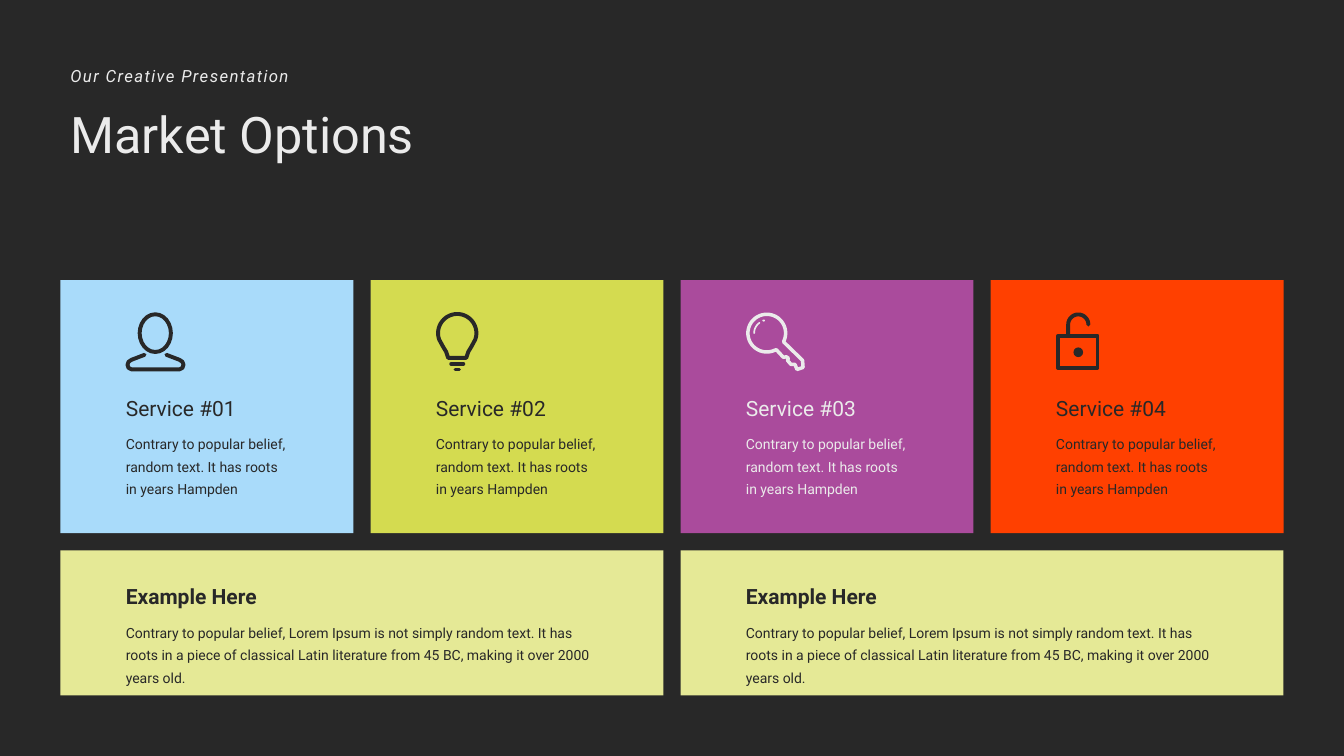
from math import cos, sin, radians

from pptx import Presentation
from pptx.dml.color import RGBColor
from pptx.enum.shapes import MSO_SHAPE
from pptx.enum.text import MSO_ANCHOR, MSO_AUTO_SIZE, PP_ALIGN
from pptx.oxml.ns import qn
from pptx.util import Inches, Pt

DARK = RGBColor(0x28, 0x28, 0x28)
LIGHT = RGBColor(0xEB, 0xEB, 0xEB)
SKY = RGBColor(0xA9, 0xDB, 0xFA)
LIME = RGBColor(0xD4, 0xDB, 0x50)
PURPLE = RGBColor(0xAA, 0x4B, 0x9C)
ORANGE = RGBColor(0xFF, 0x40, 0x00)
CREAM = RGBColor(0xE5, 0xE9, 0x96)

FONT = "Roboto"
SLIDE_W, SLIDE_H = 13.33, 7.5
MARGIN, GAP, COLUMNS = 0.6, 0.17, 4
COLUMN_W = (SLIDE_W - 2 * MARGIN - (COLUMNS - 1) * GAP) / COLUMNS
CARD_TOP, CARD_H = 2.78, 2.51
PANEL_TOP, PANEL_H = 5.46, 1.44
TEXT_INDENT, ICON_INDENT = 0.55, 0.65
ICON_TOP = 3.1
HEADING_H, BODY_H = 0.35, 0.76

SERVICE_TEXT = "Contrary to popular belief, random text. It has roots in years Hampden"
EXAMPLE_TEXT = (
    "Contrary to popular belief, Lorem Ipsum is not simply random text. "
    "It has roots in a piece of classical Latin literature from 45 BC, "
    "making it over 2000 years old."
)


def column_left(index):
    return MARGIN + index * (COLUMN_W + GAP)


def span_width(columns):
    return columns * COLUMN_W + (columns - 1) * GAP


def add_block(slide, column, columns, top, height, color):
    block = slide.shapes.add_shape(
        MSO_SHAPE.RECTANGLE, Inches(column_left(column)), Inches(top),
        Inches(span_width(columns)), Inches(height))
    block.shadow.inherit = False
    block.fill.solid()
    block.fill.fore_color.rgb = color
    block.line.fill.background()


def write(frame, text, size, color, bold=False, italic=False):
    frame.word_wrap = True
    frame.auto_size = MSO_AUTO_SIZE.NONE
    frame.vertical_anchor = MSO_ANCHOR.TOP
    frame.text = text
    paragraph = frame.paragraphs[0]
    paragraph.alignment = PP_ALIGN.LEFT
    font = paragraph.runs[0].font
    font.name, font.size = FONT, Pt(size)
    font.bold, font.italic = bold, italic
    font.color.rgb = color
    return paragraph


def add_text(slide, left, top, width, height, *content, **style):
    box = slide.shapes.add_textbox(
        Inches(left), Inches(top), Inches(width), Inches(height))
    return write(box.text_frame, *content, **style)


def add_heading_and_body(slide, left, top, width, heading, body, color, bold=False):
    add_text(slide, left, top, width, HEADING_H, heading, 15, color, bold=bold)
    paragraph = add_text(slide, left, top + HEADING_H, width, BODY_H, body, 10, color)
    paragraph.line_spacing = Pt(16)


def arc(center_x, center_y, radius, start, end, step=5):
    return [(center_x + radius * cos(radians(angle)),
             center_y + radius * sin(radians(angle)))
            for angle in range(start, end + 1, step)]


def style_stroke(shape, color, weight):
    shape.shadow.inherit = False
    shape.fill.background()
    shape.line.color.rgb = color
    shape.line.width = Pt(weight)
    outline = shape._element.spPr.find(qn("a:ln"))
    outline.set("cap", "rnd")
    outline.append(outline.makeelement(qn("a:round"), {}))


def add_stroke(slide, left, points, color, closed=False, weight=2.8):
    scaled = [(100 * x, 100 * y) for x, y in points]
    builder = slide.shapes.build_freeform(*scaled[0], scale=Inches(1) / 10000)
    builder.add_line_segments(scaled[1:], close=closed)
    style_stroke(builder.convert_to_shape(Inches(left), Inches(ICON_TOP)), color, weight)


def add_oval(slide, left, center_x, center_y, radius_x, radius_y, color, filled=False):
    oval = slide.shapes.add_shape(
        MSO_SHAPE.OVAL,
        Inches(left + (center_x - radius_x) / 100),
        Inches(ICON_TOP + (center_y - radius_y) / 100),
        Inches(radius_x / 50), Inches(radius_y / 50))
    if filled:
        oval.shadow.inherit = False
        oval.fill.solid()
        oval.fill.fore_color.rgb = color
        oval.line.fill.background()
    else:
        style_stroke(oval, color, 2.8)


def draw_person(slide, left, color):
    add_oval(slide, left, 29, 20.5, 15.5, 18.7, color)
    right_shoulder = [(40, 42), (53, 47), (56, 49), (57, 52), (56, 55), (53, 56.5)]
    left_shoulder = [(58.5 - x, y) for x, y in reversed(right_shoulder)]
    add_stroke(slide, left, right_shoulder + left_shoulder, color)


def draw_bulb(slide, left, color):
    glass = arc(21, 20.5, 19, 160, 380)
    glass += [(35, 34), (32, 39), (30, 45), (12, 45), (10, 39), (7, 34)]
    add_stroke(slide, left, glass, color, closed=True)
    add_stroke(slide, left, [(15, 51), (27, 51)], color)
    add_stroke(slide, left, [(19, 56.5), (23, 56.5)], color, weight=2.4)


def draw_key(slide, left, color):
    outline = arc(20.5, 20.5, 18.7, 65, 385)
    outline += [(37.5, 29.5), (56, 47.5), (56.5, 54.5), (50.5, 56.5), (48.5, 51.5),
                (44.5, 51.5), (41, 47.5), (42, 45.5), (40, 44), (37, 44.5),
                (30, 37)]
    add_stroke(slide, left, outline, color, closed=True, weight=2.5)
    add_stroke(slide, left, arc(20.5, 20.5, 12.5, 180, 235), color, weight=1.2)
    add_oval(slide, left, 17.5, 8, 1.3, 1, color, filled=True)


def draw_padlock(slide, left, color):
    add_stroke(slide, left, [(2, 23), (41, 23), (41, 55), (2, 55)], color, closed=True)
    add_stroke(slide, left, [(12, 22)] + arc(22, 12, 10, 180, 360), color)
    add_oval(slide, left, 22, 39.5, 4.8, 4.8, color, filled=True)


def add_service(slide, column, fill, ink, draw_icon):
    left = column_left(column)
    add_block(slide, column, 1, CARD_TOP, CARD_H, fill)
    draw_icon(slide, left + ICON_INDENT, ink)
    add_heading_and_body(slide, left + TEXT_INDENT, 3.87, 1.8,
                         f"Service #{column + 1:02d}", SERVICE_TEXT, ink)


def add_example(slide, column):
    add_block(slide, column, 2, PANEL_TOP, PANEL_H, CREAM)
    add_heading_and_body(slide, column_left(column) + TEXT_INDENT, 5.74, 4.87,
                         "Example Here", EXAMPLE_TEXT, DARK, bold=True)


def add_header(slide):
    title = slide.shapes.title
    title.left, title.top = Inches(MARGIN), Inches(0.97)
    title.width, title.height = Inches(4.71), Inches(0.71)
    write(title.text_frame, "Market Options", 36, LIGHT)
    tagline = add_text(slide, MARGIN, 0.6, 2.99, 0.3,
                       "Our Creative Presentation", 12, LIGHT, italic=True)
    tagline.runs[0].font._element.set("spc", "100")


def main():
    presentation = Presentation()
    presentation.slide_width = Inches(SLIDE_W)
    presentation.slide_height = Inches(SLIDE_H)
    slide = presentation.slides.add_slide(presentation.slide_layouts[5])
    slide.background.fill.solid()
    slide.background.fill.fore_color.rgb = DARK
    add_header(slide)
    services = [(SKY, DARK, draw_person), (LIME, DARK, draw_bulb),
                (PURPLE, LIGHT, draw_key), (ORANGE, DARK, draw_padlock)]
    for column, service in enumerate(services):
        add_service(slide, column, *service)
    for column in (0, 2):
        add_example(slide, column)
    presentation.save("out.pptx")


if __name__ == "__main__":
    main()
